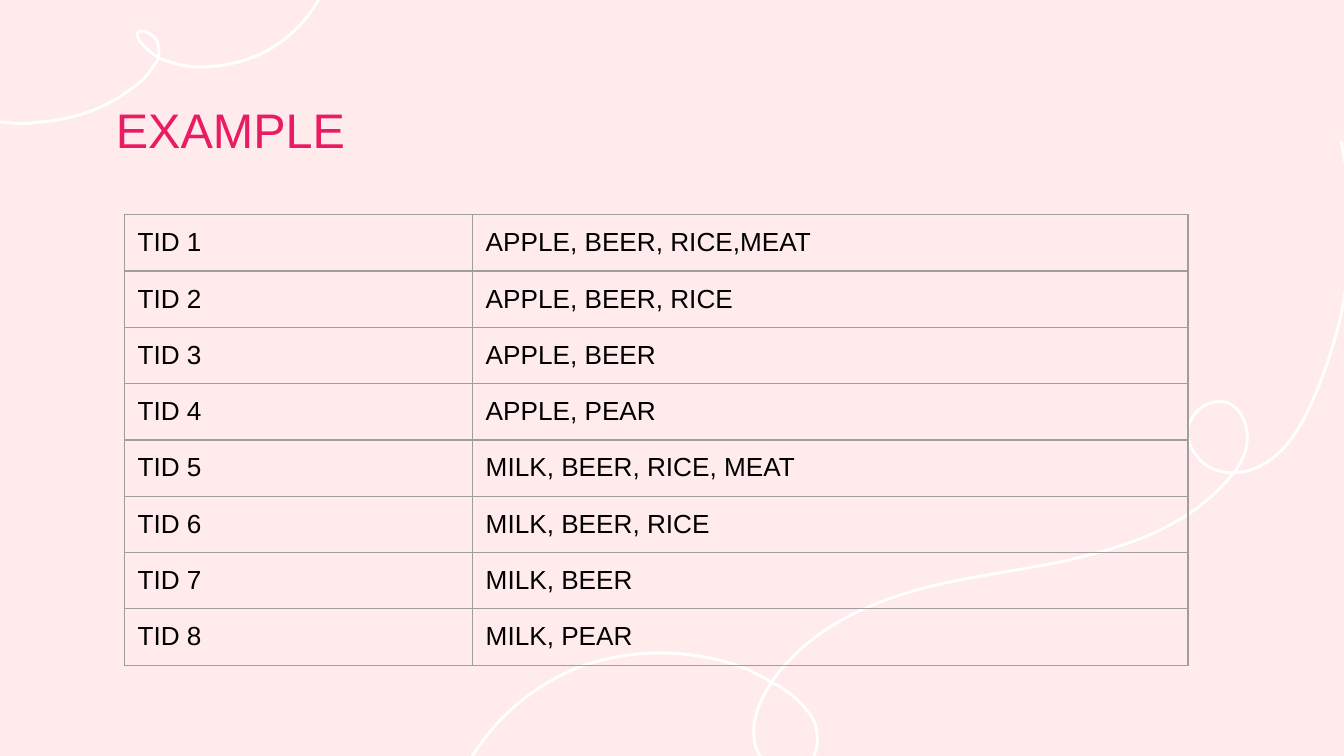
from lxml.etree import SubElement
from pptx import Presentation
from pptx.dml.color import RGBColor
from pptx.oxml.ns import qn
from pptx.util import Cm, Pt

COLOURS = {
    "background": "FFEBEB",
    "swirl": "FFFFFF",
    "title": "EA1A63",
    "text": "000000",
    "border": "9E9E9E",
}
FONT = "Arial"
HUNDREDTH_INCH = Cm(0.0254)

RIGHT_SWIRL = [
    (998, 105),
    (1007, 151, 1007, 200, 995, 246), (989, 268, 981, 291, 970, 312),
    (960, 331, 943, 351, 918, 352), (907, 352, 897, 348, 891, 340),
    (884, 332, 881, 320, 887, 311), (891, 304, 899, 299, 907, 299),
    (909, 299, 912, 299, 914, 300), (923, 304, 928, 315, 928, 324),
    (929, 334, 924, 344, 918, 352), (908, 364, 900, 371, 891, 378),
    (874, 390, 854, 400, 834, 406), (788, 422, 740, 425, 694, 436),
    (654, 446, 614, 462, 586, 493), (582, 497, 578, 502, 574, 508),
    (566, 520, 560, 534, 561, 547), (561, 556, 565, 564, 572, 570),
    (576, 573, 582, 576, 587, 576), (589, 576, 592, 575, 594, 574),
    (609, 569, 611, 548, 605, 535), (600, 527, 593, 520, 586, 515),
    (582, 512, 579, 510, 574, 508), (569, 504, 563, 502, 558, 499),
    (537, 490, 514, 486, 491, 486), (472, 486, 453, 489, 435, 495),
    (399, 508, 368, 534, 349, 567), (344, 575, 340, 584, 337, 592),
]
LEFT_SWIRL = [
    (250, -39),
    (246, -9, 230, 18, 205, 34), (193, 42, 178, 47, 163, 49),
    (159, 49, 155, 50, 150, 50), (140, 50, 130, 48, 118, 43),
    (113, 40, 109, 36, 105, 32), (104, 31, 102, 27, 102, 25),
    (103, 24, 104, 23, 105, 23), (110, 23, 113, 26, 116, 29),
    (118, 33, 119, 38, 118, 43), (117, 46, 115, 48, 113, 51),
    (109, 57, 104, 62, 98, 66), (77, 82, 51, 90, 26, 91),
    (23, 92, 21, 92, 19, 92), (-5, 92, -28, 86, -49, 73),
    (-51, 71, -54, 70, -57, 68),
]
TRANSACTIONS = [
    "APPLE, BEER, RICE,MEAT",
    "APPLE, BEER, RICE",
    "APPLE, BEER",
    "APPLE, PEAR",
    "MILK, BEER, RICE, MEAT",
    "MILK, BEER, RICE",
    "MILK, BEER",
    "MILK, PEAR",
]


def colour(name):
    return RGBColor.from_string(COLOURS[name])


class SlideWriter:
    def __init__(self, page):
        self.page = page
        page.background.fill.solid()
        page.background.fill.fore_color.rgb = colour("background")

    def style(self, para, size, name):
        para.font.name = FONT
        para.font.size = Pt(size)
        para.font.color.rgb = colour(name)

    def swirl(self, start, *curves):
        builder = self.page.shapes.build_freeform(*start, scale=HUNDREDTH_INCH)
        for curve in curves:
            builder.add_line_segments(zip(curve[::2], curve[1::2]), close=False)
        shape = builder.convert_to_shape()
        self.bend(shape)
        shape.shadow.inherit = False
        shape.fill.background()
        shape.line.color.rgb = colour("swirl")
        shape.line.width = Pt(1.5)

    def bend(self, shape):
        outline = next(shape._element.iter(qn("a:path")))
        segments = outline.findall(qn("a:lnTo"))
        for first in range(0, len(segments), 3):
            bezier = SubElement(outline, qn("a:cubicBezTo"))
            for segment in segments[first:first + 3]:
                bezier.append(segment[0])
                outline.remove(segment)

    def title(self, text, left, top, width, height):
        box = self.page.shapes.add_textbox(Cm(left), Cm(top), Cm(width), Cm(height))
        frame = box.text_frame
        frame.word_wrap = True
        frame.margin_left = frame.margin_right = Cm(0.25)
        frame.margin_top = Cm(0.27)
        frame.margin_bottom = Cm(0.25)
        para = frame.paragraphs[0]
        para.text = text
        self.style(para, 26, "title")

    def border(self, cell):
        properties = cell._tc.get_or_add_tcPr()
        for side in ("a:lnL", "a:lnR", "a:lnT", "a:lnB"):
            line = SubElement(properties, qn(side), w=str(Pt(0.75)))
            fill = SubElement(line, qn("a:solidFill"))
            SubElement(fill, qn("a:srgbClr"), val=COLOURS["border"])

    def table(self, rows, left, top, widths, row_height):
        frame = self.page.shapes.add_table(
            len(rows), len(widths), Cm(left), Cm(top),
            Cm(sum(widths)), Cm(row_height * len(rows)))
        table = frame.table
        table.first_row = table.horz_banding = False
        for column, width in zip(table.columns, widths):
            column.width = Cm(width)
        for row, texts in zip(table.rows, rows):
            row.height = Cm(row_height)
            for cell, text in zip(row.cells, texts):
                cell.margin_left = cell.margin_right = cell.margin_top = Cm(0.25)
                cell.margin_bottom = Cm(0.22)
                self.border(cell)
                cell.fill.background()
                para = cell.text_frame.paragraphs[0]
                para.text = text
                self.style(para, 14, "text")


def main():
    deck = Presentation()
    deck.slide_width = Cm(25.4)
    deck.slide_height = Cm(14.29)
    writer = SlideWriter(deck.slides.add_slide(deck.slide_layouts[6]))
    writer.swirl(*RIGHT_SWIRL)
    writer.swirl(*LEFT_SWIRL)
    writer.title("EXAMPLE", 1.94, 1.63, 21.51, 1.52)
    rows = [(f"TID {number}", items) for number, items in enumerate(TRANSACTIONS, 1)]
    writer.table(rows, 2.35, 4.06, (6.58, 13.52), 1.06)
    deck.save("out.pptx")


if __name__ == "__main__":
    main()
